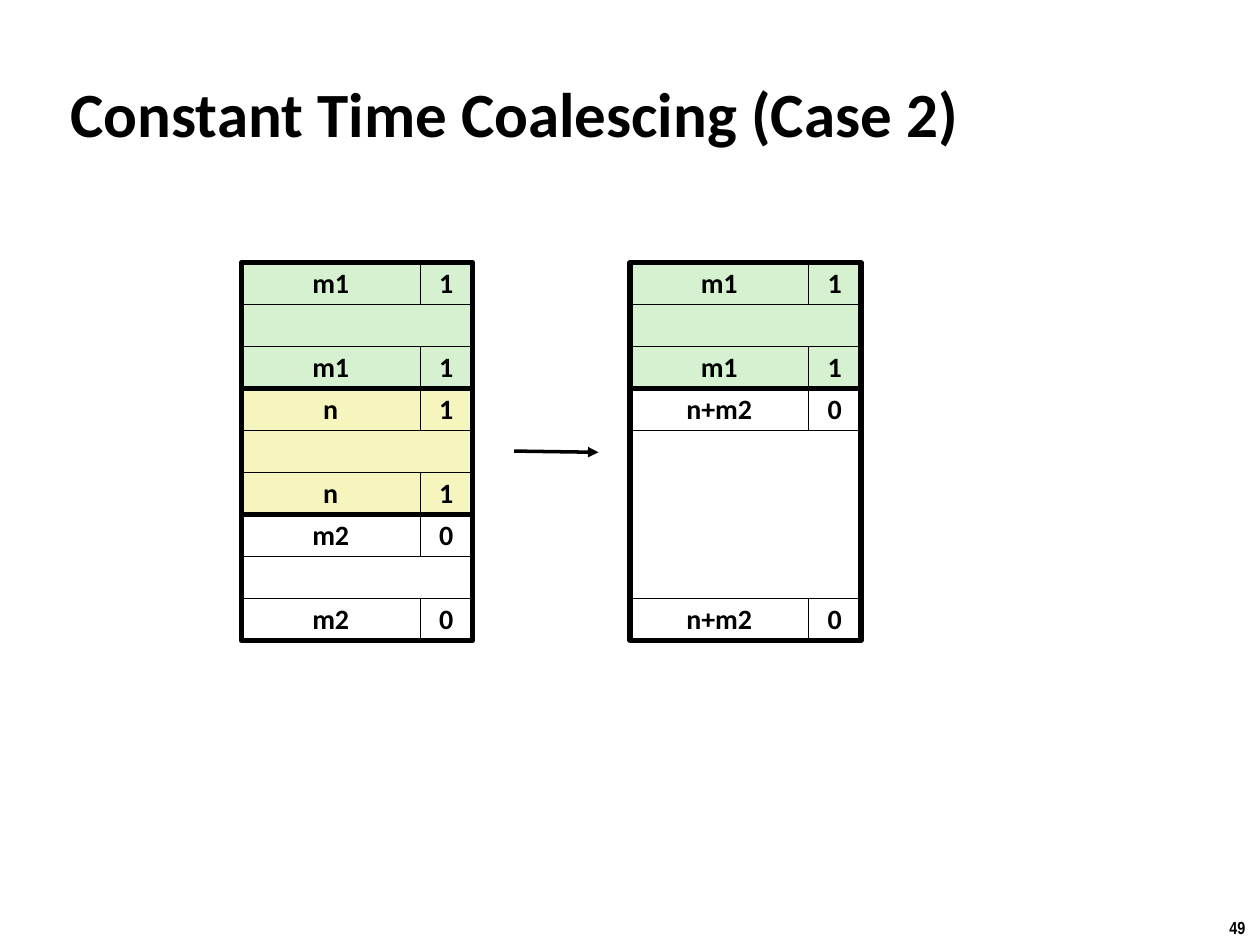
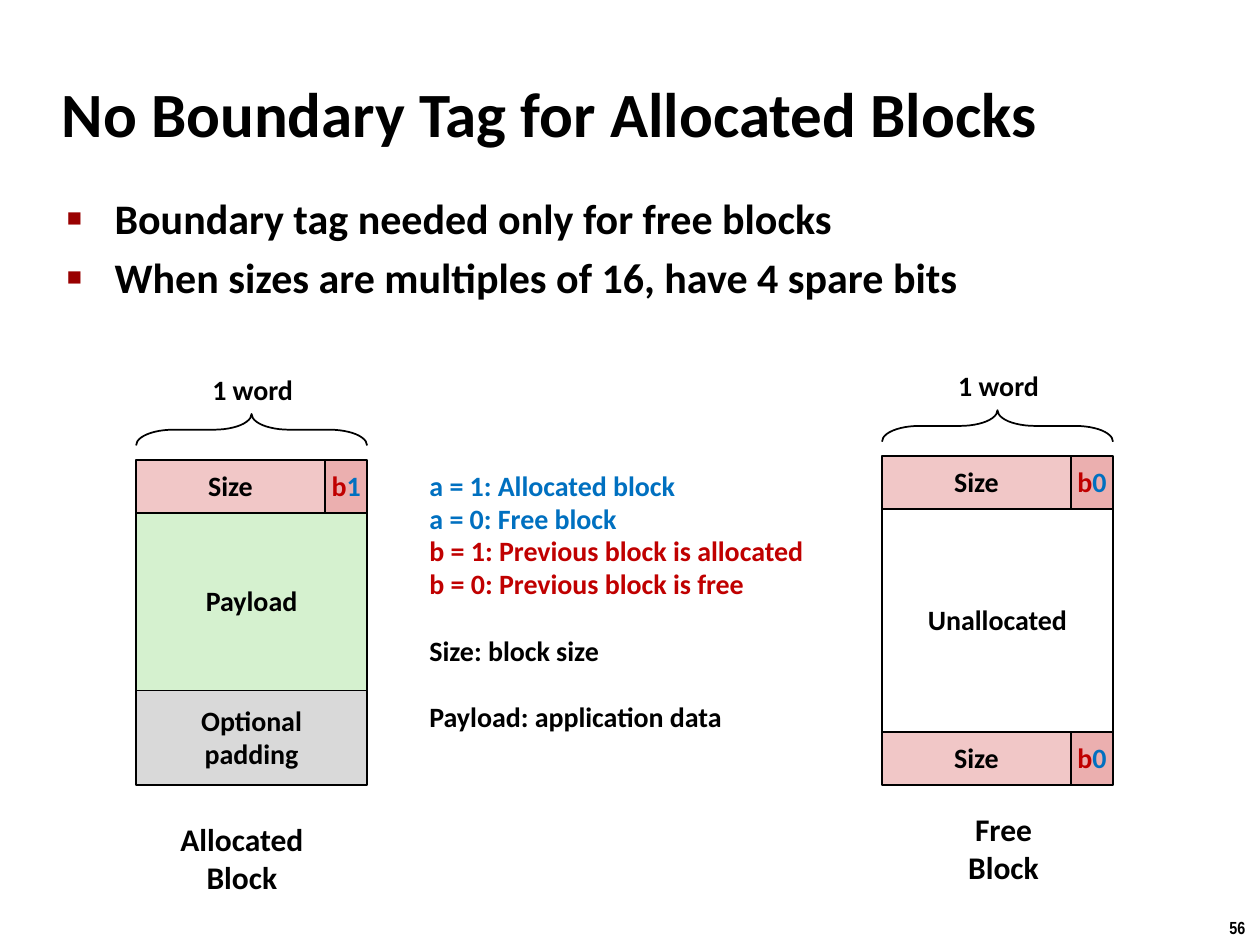
from lxml import etree
from pptx import Presentation
from pptx import util as u
from pptx.dml.color import RGBColor
from pptx.enum import shapes, text
from pptx.oxml.ns import qn

BLACK, WHITE, GREEN, CREAM = "000000", "FFFFFF", "D5F1CF", "F6F5BD"
PINK, ROSE, GREY = "F1C7C7", "EBAFAF", "D9D9D9"
RED, BLUE, MAROON = "C00000", "0070C0", "990000"
FONT = "Calibri"
LEFT, MID = text.PP_ALIGN.LEFT, text.PP_ALIGN.CENTER
WIDE = 11 / 6  # width of one memory word

# Slide 1: left edge of each heap, then (rows, size, flag, fill) of its blocks
ROW, FLAG, TOP = 1 / 3, 5 / 12, 25 / 12
HEAPS = [
    (23 / 12, [(3, "m1", "1", GREEN), (3, "n", "1", CREAM), (3, "m2", "0", WHITE)]),
    (5, [(3, "m1", "1", GREEN), (6, "n+m2", "0", WHITE)]),
]

# Slide 2: a row is (height, lines, fill); with a bit, it ends in a tag cell
HEAD, TAG, FLOOR = 0.42, 1 / 3, 6.23
BLOCKS = [
    dict(left=1.08, name=["Allocated", "Block"], at=(1.33, 6.46, 1.18, 0.71),
         rows=[(HEAD, ["Size"], PINK, "1"), (1.41, ["Payload"], GREEN, None),
               (0.75, ["Optional", "padding"], GREY, None)]),
    dict(left=7, name=["Free", "Block"], at=(7.58, 6.38, 0.77, 0.71),
         rows=[(HEAD, ["Size"], PINK, "0"), (1.77, ["Unallocated"], None, None),
               (HEAD, ["Size"], PINK, "0")]),
]
LEGEND = [  # text, colour, space before in points
    ("a = 1: Allocated block", BLUE, 0),
    ("a = 0: Free block", BLUE, 0),
    ("b = 1: Previous block is allocated", RED, 0),
    ("b = 0: Previous block is free", RED, 0),
    ("Size: block size", BLACK, 19),
    ("Payload: application data", BLACK, 19),
]
POINTS = ["Boundary tag needed only for free blocks",
          "When sizes are multiples of 16, have 4 spare bits"]


def rgb(code):
    return RGBColor.from_string(code)


def box(at):
    return [u.Inches(n) for n in at]


def place(item, at):
    item.left, item.top, item.width, item.height = box(at)


def write(frame, lines, size=16, align=MID, gaps=(), space=None, font=FONT):
    """Fill a frame; each line is a list of (text, colour) runs."""
    for i, line in enumerate(lines):
        para = frame.paragraphs[0] if i == 0 else frame.add_paragraph()
        para.alignment = align
        if space:
            para.line_spacing = space
        if i and gaps:
            para.space_before = u.Pt(gaps[i])
        for words, code in line:
            run = para.add_run()
            run.text = words
            run.font.name, run.font.size, run.font.bold = font, u.Pt(size), True
            run.font.color.rgb = rgb(code)


def plain(lines):
    return [[(line, BLACK)] for line in lines]


def label(slide, at, lines, **style):
    frame = slide.shapes.add_textbox(*box(at)).text_frame
    frame.word_wrap = False
    write(frame, lines, **style)


def cell(slide, at, fill, line, lines=(), kind=shapes.MSO_SHAPE.RECTANGLE):
    shape = slide.shapes.add_shape(kind, *box(at))
    shape.shadow.inherit = False
    if fill:
        shape.fill.solid()
        shape.fill.fore_color.rgb = rgb(fill)
    else:
        shape.fill.background()
    shape.line.color.rgb = rgb(BLACK)
    shape.line.width = u.Pt(line)
    if lines:
        frame = shape.text_frame
        frame.word_wrap = False
        frame.vertical_anchor = text.MSO_ANCHOR.MIDDLE
        write(frame, lines, space=0.98)
    return shape


def start(deck, layout, title, at, page):
    """Add a slide with its title and page number."""
    slide = deck.slides.add_slide(deck.slide_layouts[layout])
    place(slide.shapes.title, at)
    frame = slide.shapes.title.text_frame
    frame.auto_size = text.MSO_AUTO_SIZE.NONE
    frame.vertical_anchor = text.MSO_ANCHOR.MIDDLE
    write(frame, plain([title]), size=36, align=LEFT)
    label(slide, (9.66, 7.23, 0.34, 0.27), plain([page]), size=10,
          align=LEFT, font="Arial Narrow")
    return slide


def arrow(slide, x1, y1, x2, y2):
    line = slide.shapes.add_connector(shapes.MSO_CONNECTOR.STRAIGHT,
                                      *box((x1, y1, x2, y2)))
    line.line.color.rgb = rgb(BLACK)
    line.line.width = u.Pt(2)
    etree.SubElement(line.line._get_or_add_ln(), qn("a:tailEnd"), type="triangle")
    etree.SubElement(line._element.spPr, qn("a:effectLst"))


def bullet(para):
    props = para._p.get_or_add_pPr()
    props.set("marL", str(u.Inches(0.38)))
    props.set("indent", str(u.Inches(-0.38)))
    tint = etree.SubElement(props, qn("a:buClr"))
    etree.SubElement(tint, qn("a:srgbClr"), val=MAROON)
    etree.SubElement(props, qn("a:buSzPct"), val="60000")
    etree.SubElement(props, qn("a:buChar"), char="■")


def heap(slide, left, blocks):
    """Stack blocks, each with a header row, a body and a footer row."""
    top = TOP
    for rows, size, flag, fill in blocks:
        tall = rows * ROW
        cell(slide, (left, top + ROW, WIDE, tall - 2 * ROW), fill, 0.25)
        for y in (top, top + tall - ROW):
            cell(slide, (left, y, WIDE - FLAG, ROW), fill, 0.25, plain([size]))
            cell(slide, (left + WIDE - FLAG, y, FLAG, ROW), fill, 0.25, plain([flag]))
        cell(slide, (left, top, WIDE, tall), None, 3)
        top += tall


def block(slide, left, name, at, rows):
    """Draw one block format under its brace and above its name."""
    top = y = FLOOR - sum(row[0] for row in rows)
    for tall, lines, fill, bit in rows:
        wide = WIDE - TAG if bit else WIDE
        cell(slide, (left, y, wide, tall), fill, 1, plain(lines))
        if bit:
            cell(slide, (left + wide, y, TAG, tall), ROSE, 1, [[("b", RED), (bit, BLUE)]])
        y += tall
    deep = 0.25
    brace = cell(slide, (left + (WIDE - deep) / 2, top - 0.24 - WIDE / 2, deep, WIDE),
                 None, 1, kind=shapes.MSO_SHAPE.RIGHT_BRACE)
    brace.rotation = 270
    brace.adjustments[0] = 1.19
    label(slide, (left + 0.5, top - 0.73, 0.85, 0.37), plain(["1 word"]), space=0.98)
    label(slide, at, plain(name), size=18)


def main():
    deck = Presentation()
    deck.slide_width, deck.slide_height = u.Inches(10), u.Inches(7.5)

    merge = start(deck, 5, "Constant Time Coalescing (Case 2)",
                  (0.46, 0.58, 9.08, 0.63), "49")
    for left, blocks in HEAPS:
        heap(merge, left, blocks)
    arrow(merge, 4.08, 3.58, 4.75, 3.59)

    tags = start(deck, 1, "No Boundary Tag for Allocated Blocks",
                 (0.39, 0.48, 8.3, 0.83), "56")
    body = tags.placeholders[1]
    place(body, (0.43, 1.48, 9.23, 0.98))
    frame = body.text_frame
    frame.auto_size = text.MSO_AUTO_SIZE.NONE
    write(frame, plain(POINTS), size=24, align=LEFT, gaps=(0, 4.8))
    frame.paragraphs[0].space_before = u.Pt(0)
    for para in frame.paragraphs:
        bullet(para)
    for part in BLOCKS:
        block(tags, **part)
    label(tags, (3.31, 3.68, 3.21, 2.21), [[(words, code)] for words, code, _ in LEGEND],
          align=LEFT, gaps=[gap for _, _, gap in LEGEND], space=0.98)

    deck.save("out.pptx")


if __name__ == "__main__":
    main()
